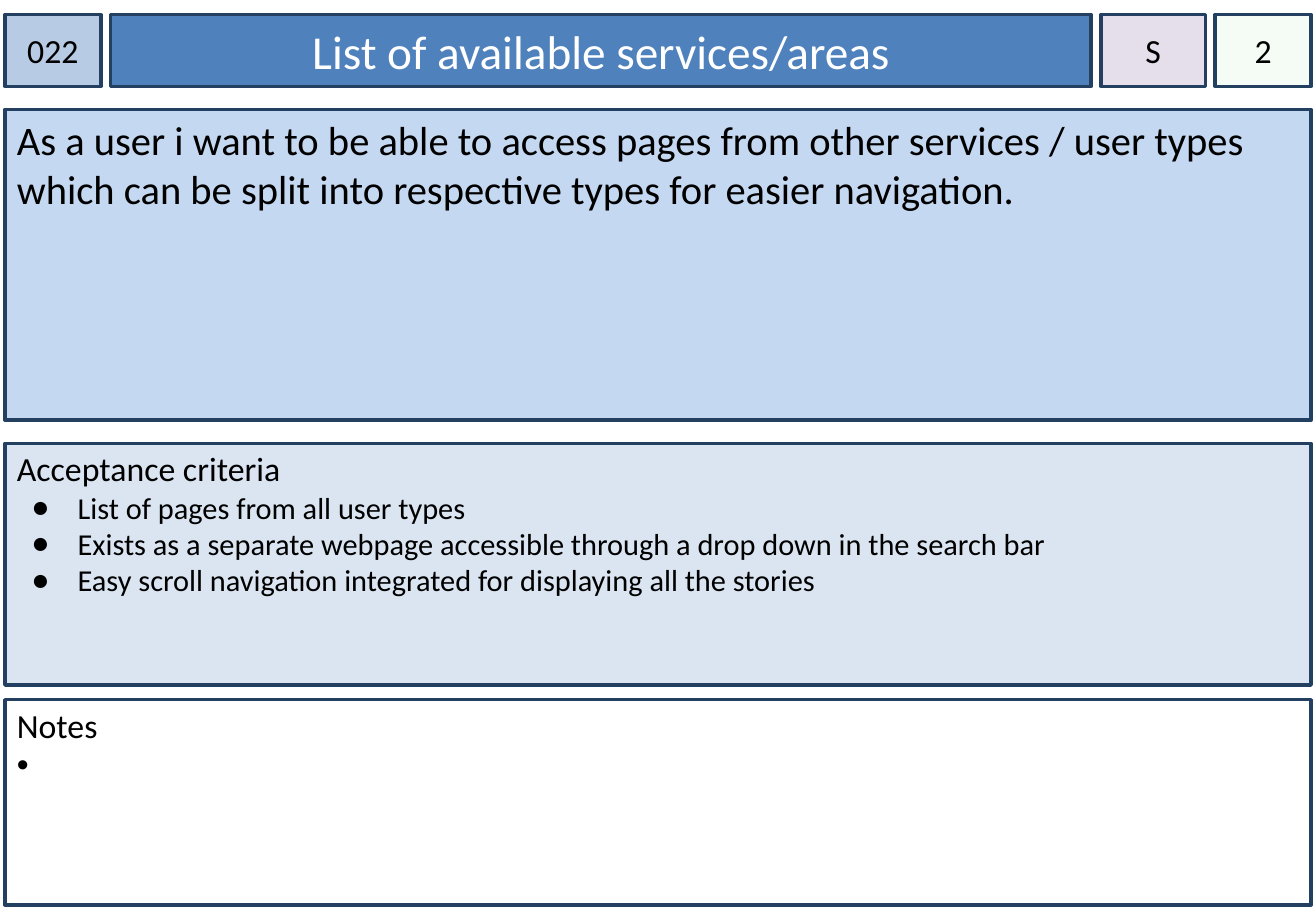
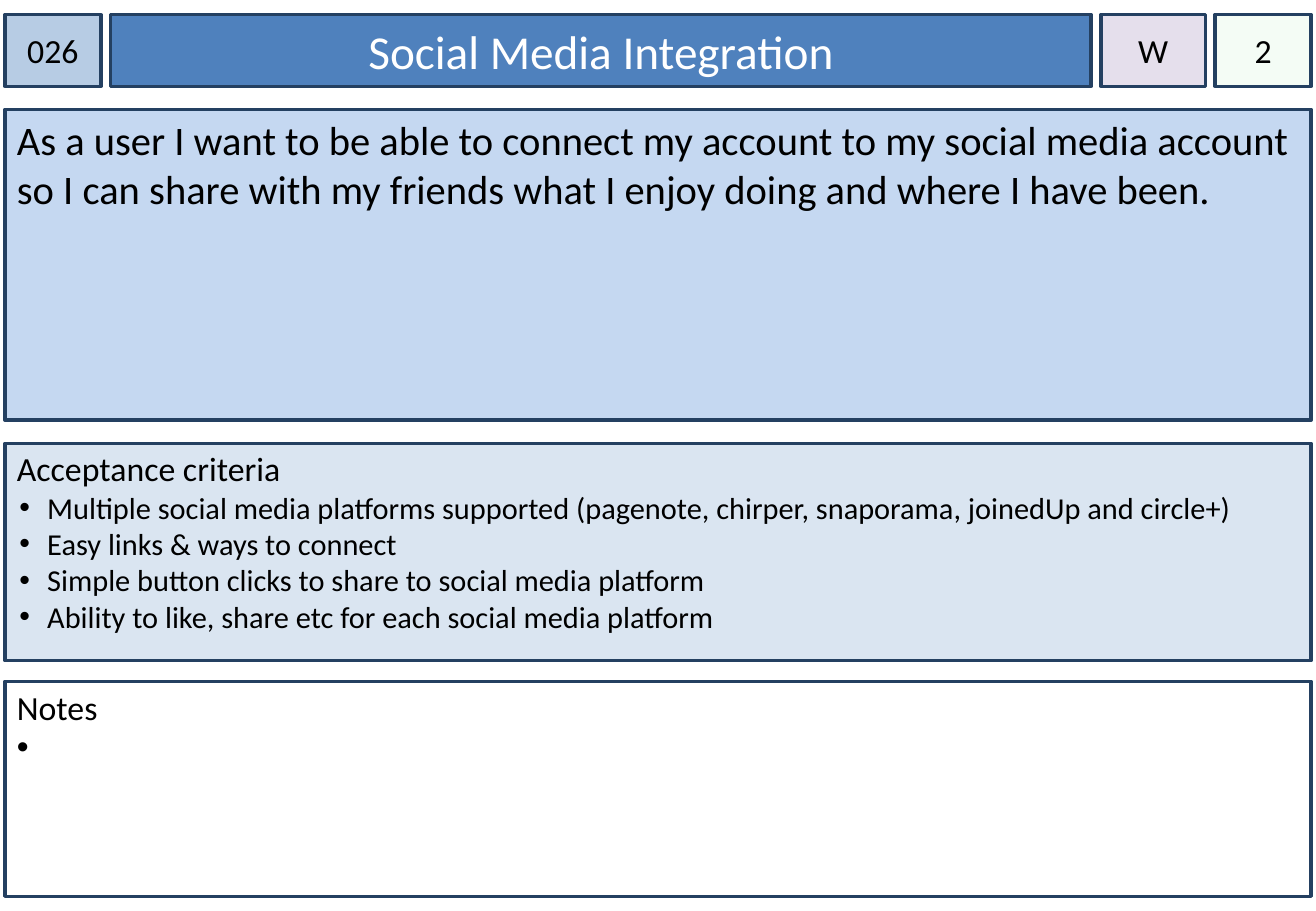
from lxml import etree
from pptx import Presentation
from pptx.dml.color import RGBColor
from pptx.enum.shapes import MSO_SHAPE
from pptx.enum.text import MSO_ANCHOR, MSO_AUTO_SIZE, PP_ALIGN
from pptx.oxml.ns import qn
from pptx.util import Emu, Pt

RECT = MSO_SHAPE.RECTANGLE
TOP, MIDDLE = MSO_ANCHOR.TOP, MSO_ANCHOR.MIDDLE
LEFT, CENTER = PP_ALIGN.LEFT, PP_ALIGN.CENTER
NO_FIT = MSO_AUTO_SIZE.NONE
TITLE_ONLY = 5

# Layout in px, 100 to the inch
SCALE = 9144
WIDTH, HEIGHT = 1083, 750
MARGIN, GAP, ROW_GAP = 4, 8, 19
HEADER_TOP, HEADER_H = 12, 59
NUMBER_W, TITLE_W, PRIORITY_W, POINTS_W = 79, 807, 86, 79
STORY_TOP, STORY_H = HEADER_TOP + HEADER_H + ROW_GAP, 256
CRITERIA_TOP = STORY_TOP + STORY_H + ROW_GAP
BODY_W = 1075

# Bullet styles: character, text indent, hanging indent
ROUND = ("●", 50, 38)
DOT = ("•", 25, 23)
NOTE_DOT = ("•", 20, 20)


def px(n):
    return Emu(n * SCALE)


def rgb(value):
    return RGBColor.from_string(value)


class StoryCards:
    FONT = "Calibri"
    LINE, BLACK, WHITE = "244061", "000000", "FFFFFF"
    NUMBER, TITLE, PRIORITY, POINTS = "B7CCE4", "4F81BD", "E5DFEC", "CCF0CD"
    STORY, CRITERIA = "C5D8F1", "DAE5F1"

    def __init__(self):
        self.prs = Presentation()
        self.prs.slide_width, self.prs.slide_height = px(WIDTH), px(HEIGHT)
        self.slide = None

    def new_slide(self):
        self.slide = self.prs.slides.add_slide(self.prs.slide_layouts[TITLE_ONLY])

    def paint(self, sp, fill, anchor, side, top):
        sp.fill.solid()
        sp.fill.fore_color.rgb = rgb(fill)
        sp.line.color.rgb = rgb(self.LINE)
        sp.line.width = Pt(2)
        tf = sp.text_frame
        tf.word_wrap, tf.auto_size, tf.vertical_anchor = True, NO_FIT, anchor
        tf.margin_left = tf.margin_right = px(side)
        tf.margin_top, tf.margin_bottom = px(top), px(5)

    def set_text(self, p, text, size, color, align=LEFT):
        p.text = text
        p.alignment = align
        for r in p.runs:
            r.font.name, r.font.size = self.FONT, Pt(size)
            r.font.color.rgb = rgb(color)

    def bullet(self, p, style):
        char, indent, hanging = style
        pPr = p._p.get_or_add_pPr()
        pPr.set("marL", str(px(indent)))
        pPr.set("indent", str(px(-hanging)))
        color = etree.SubElement(pPr, qn("a:buClr"))
        etree.SubElement(color, qn("a:srgbClr"), val=self.BLACK)
        etree.SubElement(pPr, qn("a:buFont"), typeface="Arial")
        etree.SubElement(pPr, qn("a:buChar"), char=char)

    def box(self, x, y, w, h, fill, anchor=TOP, side=10, top=5):
        sp = self.slide.shapes.add_shape(RECT, px(x), px(y), px(w), px(h))
        sp.shadow.inherit = False
        self.paint(sp, fill, anchor, side, top)
        return sp

    def title(self, x, text):
        sp = self.slide.shapes.title
        sp.left, sp.top = px(x), px(HEADER_TOP)
        sp.width, sp.height = px(TITLE_W), px(HEADER_H)
        self.paint(sp, self.TITLE, MIDDLE, 10, 5)
        self.set_text(sp.text_frame.paragraphs[0], text, 28, self.WHITE, CENTER)

    def tag(self, x, w, text, fill, alpha=100):
        sp = self.box(x, HEADER_TOP, w, HEADER_H, fill, MIDDLE, side=0)
        self.set_text(sp.text_frame.paragraphs[0], text, 20, self.BLACK, CENTER)
        if alpha < 100:
            color = sp._element.spPr.find(qn("a:solidFill"))[0]
            etree.SubElement(color, qn("a:alpha"), val=str(alpha * 1000))

    def story(self, text):
        sp = self.box(MARGIN, STORY_TOP, BODY_W, STORY_H, self.STORY)
        self.set_text(sp.text_frame.paragraphs[0], text, 24, self.BLACK)

    def list_box(self, y, h, fill, heading, items, style, size):
        sp = self.box(MARGIN, y, BODY_W, h, fill, top=4)
        tf = sp.text_frame
        self.set_text(tf.paragraphs[0], heading, 20, self.BLACK)
        for item in items:
            p = tf.add_paragraph()
            self.set_text(p, item, size, self.BLACK)
            self.bullet(p, style)

    def card(self, number, title, priority, points, story, criteria, style,
             criteria_h, notes_top, notes_h):
        self.new_slide()
        # Header row
        title_x = MARGIN + NUMBER_W + GAP
        priority_x = title_x + TITLE_W + GAP
        points_x = priority_x + PRIORITY_W + GAP
        self.tag(MARGIN, NUMBER_W, number, self.NUMBER)
        self.title(title_x, title)
        self.tag(priority_x, PRIORITY_W, priority, self.PRIORITY)
        self.tag(points_x, POINTS_W, points, self.POINTS, alpha=20)
        # Body
        self.story(story)
        self.list_box(CRITERIA_TOP, criteria_h, self.CRITERIA,
                      "Acceptance criteria", criteria, style, 18)
        self.list_box(notes_top, notes_h, self.WHITE, "Notes", [" "], NOTE_DOT, 20)


def main():
    cards = StoryCards()
    # Services list
    cards.card(
        "022", "List of available services/areas", "S", "2",
        "As a user i want to be able to access pages from other services / user types "
        "which can be split into respective types for easier navigation.",
        ["List of pages from all user types",
         "Exists as a separate webpage accessible through a drop down in the search bar",
         "Easy scroll navigation integrated for displaying all the stories"],
        ROUND, criteria_h=199, notes_top=576, notes_h=169)
    # Social media
    cards.card(
        "026", "Social Media Integration", "W", "2",
        "As a user I want to be able to connect my account to my social media account "
        "so I can share with my friends what I enjoy doing and where I have been.",
        ["Multiple social media platforms supported "
         "(pagenote, chirper, snaporama, joinedUp and circle+)",
         "Easy links & ways to connect",
         "Simple button clicks to share to social media platform",
         "Ability to like, share etc for each social media platform"],
        DOT, criteria_h=179, notes_top=561, notes_h=177)
    cards.prs.save("out.pptx")


if __name__ == "__main__":
    main()
